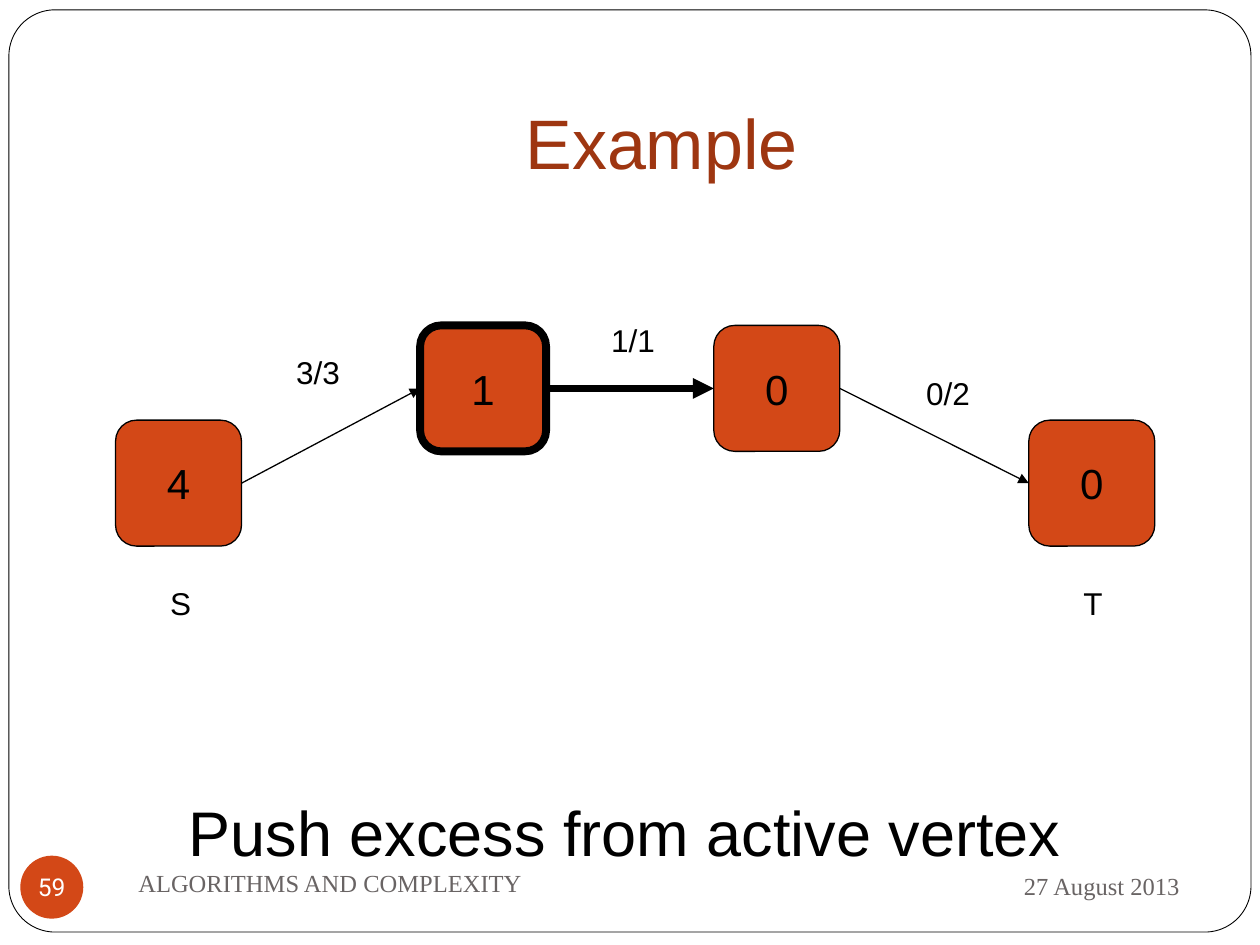
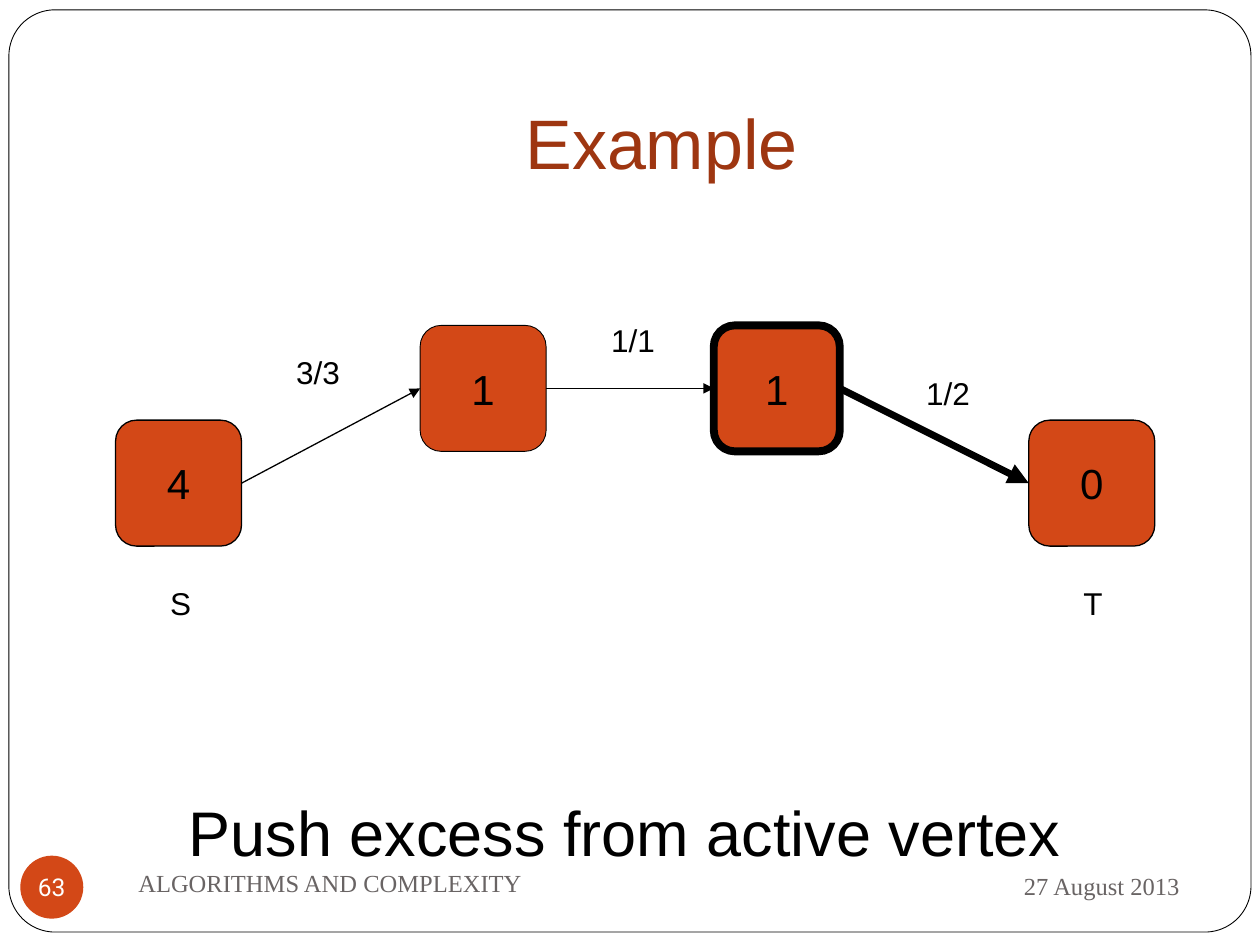
from pptx import Presentation
from pptx.dml.color import RGBColor
from pptx.enum import shapes as kinds, text as txt
from pptx.oxml import parse_xml
from pptx.oxml.ns import nsdecls
from pptx.util import Cm, Pt

INK = {"page": "FFFFFF", "line": "000000", "node": "D34817",
       "title": "9E3611", "foot": "696464"}
SANS, SERIF, DIGIT = "Arial", "Times New Roman", "Roboto"
LEFT, MID, RIGHT = (txt.PP_ALIGN.LEFT, txt.PP_ALIGN.CENTER,
                    txt.PP_ALIGN.RIGHT)
TOP, CORE, BASE = (txt.MSO_ANCHOR.TOP, txt.MSO_ANCHOR.MIDDLE,
                   txt.MSO_ANCHOR.BOTTOM)
FORM = kinds.MSO_SHAPE

TITLE = "Example"
NOTE = "Push excess from active vertex"
COURSE = "ALGORITHMS AND COMPLEXITY"
DATE = "27 August 2013"

# The active vertex pushes along the edge that leaves it.
STEPS = [
    {"page": "59", "excess": ["4", "1", "0", "0"],
     "flow": ["3/3", "1/1", "0/2"], "active": 1, "thin": {}},
    {"page": "63", "excess": ["4", "1", "1", "0"],
     "flow": ["3/3", "1/1", "1/2"], "active": 2, "thin": {1: 0.5}},
]

# Lengths in centimetres
SIDE = 2.54
NODES = [(2.33, 8.47), (8.47, 6.56), (14.39, 6.56), (20.74, 8.47)]
FLOWS = [(5.72, 6.99), (12.07, 6.35), (18.42, 7.41)]
ENDS = [("S", 3.18, 0.94), ("T", 21.59, 0.89)]
END_TOP, LABEL = 11.64, (1.4, 1.02)


def ink(name):
    return RGBColor.from_string(INK[name])


def write(shape, words, size=18, font=SANS, color="line", align=LEFT,
          anchor=TOP, wrap=False, grow=False, inset=None):
    """Fill a shape with one formatted paragraph; inset is l, t, r, b."""
    frame = shape.text_frame
    frame.text = words
    frame.word_wrap = wrap
    frame.vertical_anchor = anchor
    fit = txt.MSO_AUTO_SIZE
    frame.auto_size = fit.SHAPE_TO_FIT_TEXT if grow else fit.NONE
    if inset:
        (frame.margin_left, frame.margin_top,
         frame.margin_right, frame.margin_bottom) = map(Cm, inset)
    para = frame.paragraphs[0]
    para.alignment = align
    face = para.runs[0].font
    face.size, face.name = Pt(size), font
    face.color.rgb = ink(color)


def label(slide, box, words, **form):
    write(slide.shapes.add_textbox(*map(Cm, box)), words, **form)


def draw(slide, form, box, fill, width=0, round=None):
    """Add a flat preset shape; a width of 0 means no outline."""
    shape = slide.shapes.add_shape(form, *map(Cm, box))
    shape.shadow.inherit = False
    shape.fill.solid()
    shape.fill.fore_color.rgb = ink(fill)
    if width:
        shape.line.color.rgb = ink("line")
        shape.line.width = Pt(width)
    else:
        shape.line.fill.background()
    if round is not None:
        shape.adjustments[0] = round
    return shape


def arrow(slide, start, end, width):
    """Join the right side of start to the left side of end."""
    edge = slide.shapes.add_connector(kinds.MSO_CONNECTOR.STRAIGHT, 0, 0, 0, 0)
    edge.begin_connect(start, 3)
    edge.end_connect(end, 1)
    edge.line.color.rgb = ink("line")
    edge.line.width = Pt(width)
    edge.line._get_or_add_ln().append(
        parse_xml(f'<a:tailEnd {nsdecls("a")} type="triangle"/>'))
    edge.element.spPr.append(parse_xml(f'<a:effectLst {nsdecls("a")}/>'))


def base(deck, page):
    """Start a slide with the shared frame, title, note and footer."""
    slide = deck.slides.add_slide(deck.slide_layouts[5])
    slide.background.fill.solid()
    slide.background.fill.fore_color.rgb = ink("page")
    head = slide.shapes.title
    head.left, head.top, head.width, head.height = map(
        Cm, (2.54, 0.76, 21.59, 3.18))
    write(head, TITLE, size=40, color="title", align=MID, anchor=BASE,
          wrap=True, inset=(0.25, 0.13, 0.25, 0.25))
    frame = draw(slide, FORM.ROUNDED_RECTANGLE, (0.18, 0.2, 25.04, 18.59),
                 "page", 0.5, 0.05)
    head.element.addprevious(frame.element)

    label(slide, (2.54, 15.88, 20.11, 1.78), NOTE, size=36, align=MID,
          wrap=True, grow=True)
    foot = dict(size=14, font=SERIF, color="foot", anchor=CORE, wrap=True)
    label(slide, (17.15, 17.2, 6.88, 1.32), DATE, align=RIGHT, **foot)
    label(slide, (2.54, 17.15, 11, 1.27), COURSE, **foot)
    badge = draw(slide, FORM.OVAL, (0.41, 17.25, 1.27, 1.27), "node")
    write(badge, page, size=14, font=DIGIT, color="page", align=MID,
          anchor=CORE, inset=(0, 0, 0, 0))
    return slide


def graph(slide, step):
    nodes = []
    for i, (spot, excess) in enumerate(zip(NODES, step["excess"])):
        width = 4.5 if i == step["active"] else step["thin"].get(i, 0.75)
        node = draw(slide, FORM.ROUNDED_RECTANGLE, (*spot, SIDE, SIDE),
                    "node", width, 0.167)
        write(node, excess, size=24, align=MID, anchor=CORE)
        nodes.append(node)
    for i, (start, end) in enumerate(zip(nodes, nodes[1:])):
        arrow(slide, start, end, 4 if i == step["active"] else 0.75)
    for spot, flow in zip(FLOWS, step["flow"]):
        label(slide, (*spot, *LABEL), flow, grow=True)
    for name, left, width in ENDS:
        label(slide, (left, END_TOP, width, LABEL[1]), name, grow=True)


def main():
    deck = Presentation()
    deck.slide_width, deck.slide_height = Cm(25.4), Cm(19.05)
    for step in STEPS:
        graph(base(deck, step["page"]), step)
    deck.save("out.pptx")


if __name__ == "__main__":
    main()
